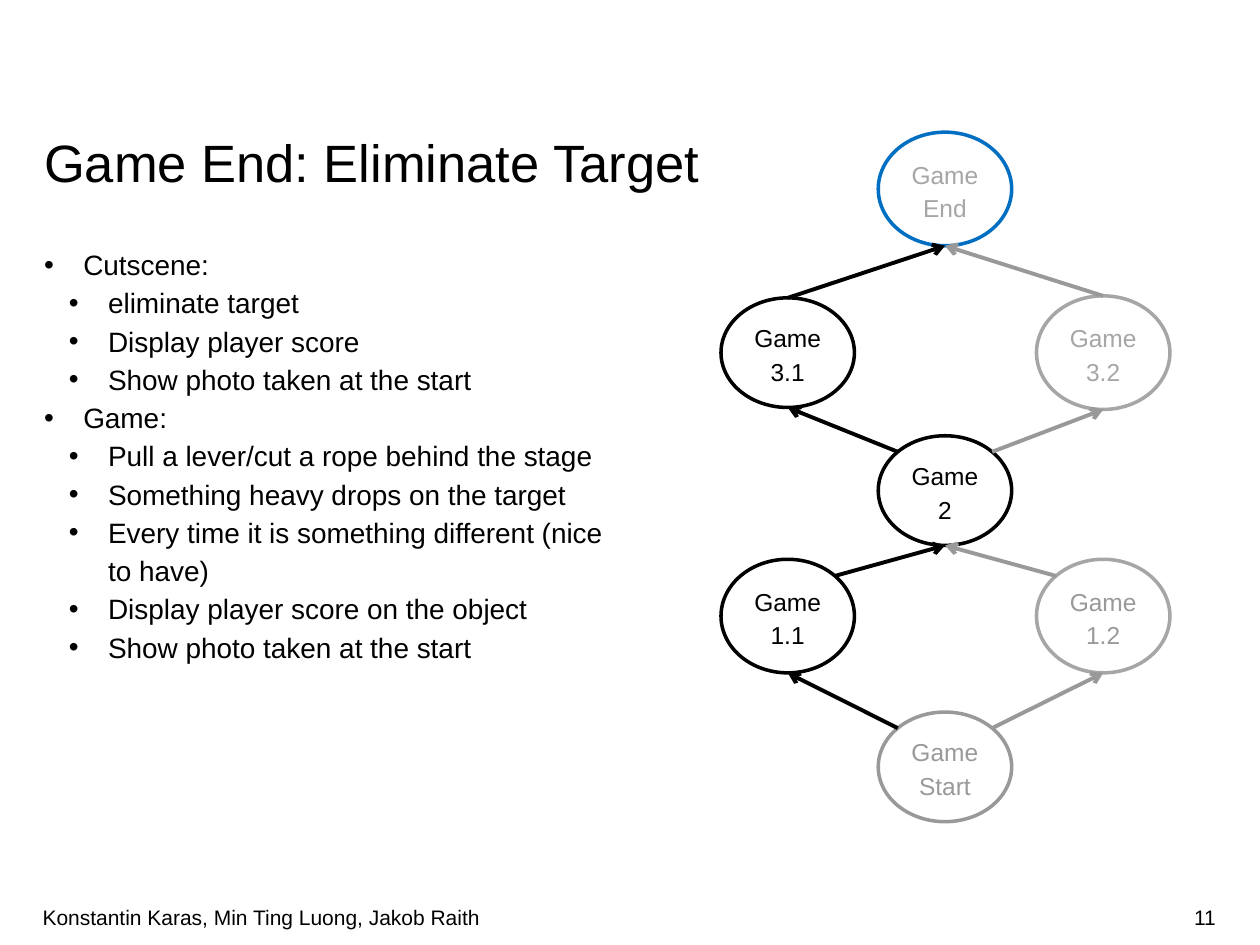
"""Build the slide on the game ending with its level graph."""
from math import sqrt

from lxml.etree import SubElement
from pptx import Presentation
from pptx.dml.color import RGBColor
from pptx.enum.shapes import MSO_CONNECTOR, MSO_SHAPE
from pptx.enum.text import MSO_ANCHOR, PP_ALIGN
from pptx.oxml.ns import qn
from pptx.util import Cm, Pt

BLACK = RGBColor(0x00, 0x00, 0x00)
GRAY = RGBColor(0x99, 0x99, 0x99)
LIGHT_GRAY = RGBColor(0xA6, 0xA6, 0xA6)
BLUE = RGBColor(0x00, 0x6F, 0xC2)

TITLE = "Game End: Eliminate Target"
AUTHORS = "Konstantin Karas, Min Ting Luong, Jakob Raith"
SLIDE_NUMBER = "11"
OUTLINE = [
    ("Cutscene:", ["eliminate target", "Display player score", "Show photo taken at the start"]),
    ("Game:", [
        "Pull a lever/cut a rope behind the stage",
        "Something heavy drops on the target",
        "Every time it is something different (nice to have)",
        "Display player score on the object",
        "Show photo taken at the start",
    ]),
]

LEFT, MIDDLE, RIGHT = 15.88, 19.05, 22.24
NODE_WIDTH = 2.69
NODES = {
    "2": ("Game 2", MIDDLE, 9.89, 2.21, BLACK, BLACK),
    "start": ("Game\nStart", MIDDLE, 15.46, 2.21, GRAY, GRAY),
    "3.2": ("Game 3.2", RIGHT, 7.11, 2.29, LIGHT_GRAY, LIGHT_GRAY),
    "3.1": ("Game 3.1", LEFT, 7.11, 2.21, BLACK, BLACK),
    "end": ("Game End", MIDDLE, 3.81, 2.29, BLUE, LIGHT_GRAY),
    "1.2": ("Game 1.2", RIGHT, 12.42, 2.29, LIGHT_GRAY, GRAY),
    "1.1": ("Game 1.1", LEFT, 12.42, 2.29, BLACK, BLACK),
}
DIAGONAL = sqrt(0.5)
TOP, BOTTOM = (0, -1), (0, 1)
TOP_LEFT, TOP_RIGHT = (-DIAGONAL, -DIAGONAL), (DIAGONAL, -DIAGONAL)
ARROWS = [
    ("start", TOP_LEFT, "1.1", BLACK),
    ("1.1", TOP_RIGHT, "2", BLACK),
    ("1.2", TOP_LEFT, "2", GRAY),
    ("2", TOP_LEFT, "3.1", BLACK),
    ("2", TOP_RIGHT, "3.2", GRAY),
    ("3.1", TOP, "end", BLACK),
    ("3.2", TOP, "end", GRAY),
    ("start", TOP_RIGHT, "1.2", GRAY),
]


def add_run(paragraph, text, size, color=BLACK):
    run = paragraph.add_run()
    run.text = text
    run.font.name = "Arial"
    run.font.size = Pt(size)
    run.font.color.rgb = color


def add_text_frame(slide, left, top, width, height, margin=0):
    box = slide.shapes.add_textbox(Cm(left), Cm(top), Cm(width), Cm(height))
    frame = box.text_frame
    frame.word_wrap = True
    frame.margin_left = frame.margin_right = 0
    frame.margin_top = frame.margin_bottom = Cm(margin)
    return frame


def add_footer(slide, left, width, text, alignment):
    frame = add_text_frame(slide, left, 17.98, width, 1.02, margin=0.13)
    frame.vertical_anchor = MSO_ANCHOR.MIDDLE
    paragraph = frame.paragraphs[0]
    paragraph.alignment = alignment
    add_run(paragraph, text, 12)


def add_outline(slide):
    frame = add_text_frame(slide, 0.89, 4.9, 11.76, 13.06)
    lines = []
    for heading, points in OUTLINE:
        lines.append((heading, 0, 0.79))
        lines.extend((point, 1, 1.29) for point in points)
    for index, (text, level, indent) in enumerate(lines):
        paragraph = frame.add_paragraph() if index else frame.paragraphs[0]
        paragraph.level = level
        paragraph.line_spacing = 1.14
        properties = paragraph._p.get_or_add_pPr()
        properties.set("marL", str(Cm(indent)))
        properties.set("indent", str(-Cm(0.79)))
        SubElement(properties, qn("a:buFont"), typeface="Arial")
        SubElement(properties, qn("a:buChar"), char="•")
        add_run(paragraph, text, 16)


def add_node(slide, label, center_x, center_y, height, line_color, text_color):
    ellipse = slide.shapes.add_shape(
        MSO_SHAPE.OVAL, Cm(center_x - NODE_WIDTH / 2), Cm(center_y - height / 2),
        Cm(NODE_WIDTH), Cm(height))
    ellipse.shadow.inherit = False
    ellipse.fill.background()
    ellipse.line.color.rgb = line_color
    ellipse.line.width = Pt(2)
    frame = ellipse.text_frame
    frame.word_wrap = True
    frame.vertical_anchor = MSO_ANCHOR.MIDDLE
    paragraph = frame.paragraphs[0]
    paragraph.alignment = PP_ALIGN.CENTER
    paragraph.line_spacing = 1.14
    for index, part in enumerate(label.split("\n")):
        if index:
            paragraph.add_line_break()
        add_run(paragraph, part, 14, text_color)


def edge_point(name, direction):
    _, center_x, center_y, height, _, _ = NODES[name]
    return (Cm(center_x + direction[0] * NODE_WIDTH / 2),
            Cm(center_y + direction[1] * height / 2))


def add_arrow(slide, source, direction, target, color):
    connector = slide.shapes.add_connector(
        MSO_CONNECTOR.STRAIGHT, *edge_point(source, direction), *edge_point(target, BOTTOM))
    connector.line.color.rgb = color
    connector.line.width = Pt(2.25)
    SubElement(connector.line._get_or_add_ln(), qn("a:tailEnd"), type="arrow")
    SubElement(connector._element.spPr, qn("a:effectLst"))


def main():
    presentation = Presentation()
    presentation.slide_width, presentation.slide_height = Cm(25.4), Cm(19.05)
    slide = presentation.slides.add_slide(presentation.slide_layouts[6])
    add_outline(slide)
    add_footer(slide, 18.82, 5.69, SLIDE_NUMBER, PP_ALIGN.RIGHT)
    add_footer(slide, 0.86, 17.96, AUTHORS, PP_ALIGN.LEFT)
    title = add_text_frame(slide, 0.89, 2.77, 23.65, 1.14).paragraphs[0]
    title.line_spacing = Pt(32)
    add_run(title, TITLE, 30)
    for node in NODES.values():
        add_node(slide, *node)
    for arrow in ARROWS:
        add_arrow(slide, *arrow)
    presentation.save("out.pptx")


if __name__ == "__main__":
    main()
